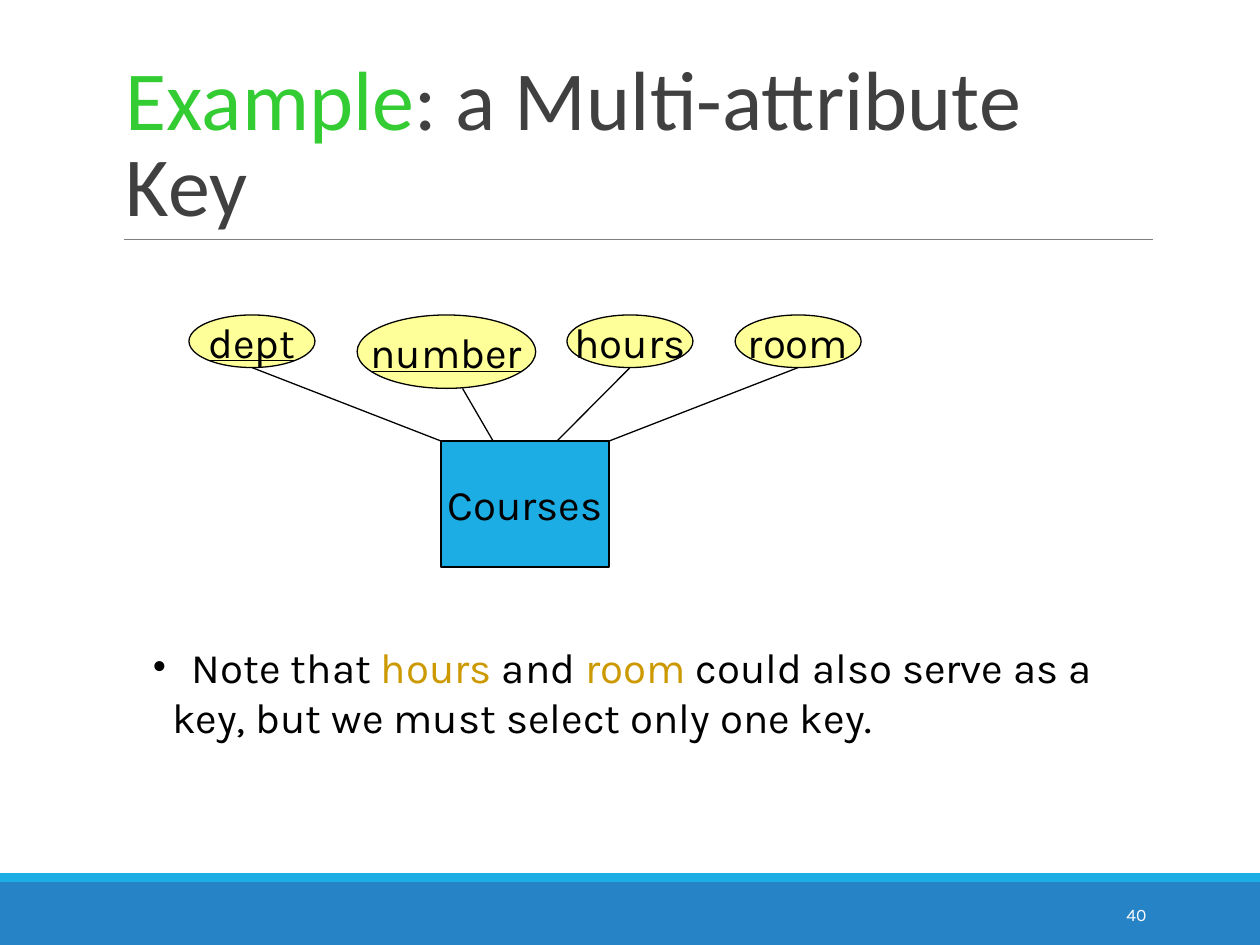
from lxml import etree
from pptx import Presentation
from pptx import util as u
from pptx.dml.color import RGBColor
from pptx.enum import shapes, text
from pptx.oxml.ns import qn

COLORS = {
    "black": "000000", "white": "FFFFFF", "title": "404040", "green": "33CC33",
    "gold": "CC9900", "yellow": "FFFF99", "sky": "1CADE4", "blue": "2683C6",
    "rule": "7F7F7F",
}


class SlideBuilder:
    """Holds the style and the current slide."""

    body_font, title_font = "Karla", "Calibri"

    def __init__(self, slide):
        self.slide = slide

    def color(self, name):
        return RGBColor.from_string(COLORS[name])

    def style(self, font, size, color, name=None):
        font.name = name or self.body_font
        font.size = u.Pt(size)
        font.color.rgb = self.color(color)

    def shape(self, kind, box, fill, label=None, outlined=False, underline=None):
        shape = self.slide.shapes.add_shape(kind, *map(u.Cm, box))
        shape.shadow.inherit = False
        shape.fill.solid()
        shape.fill.fore_color.rgb = self.color(fill)
        if outlined:
            shape.line.color.rgb = self.color("black")
            shape.line.width = u.Pt(0.75)
        else:
            shape.line.fill.background()
        if label:
            frame = shape.text_frame
            frame.word_wrap = False
            frame.vertical_anchor = text.MSO_ANCHOR.MIDDLE
            paragraph = frame.paragraphs[0]
            paragraph.text = label
            paragraph.alignment = text.PP_ALIGN.CENTER
            self.style(paragraph.font, 24, "black")
            paragraph.font.underline = underline
        return shape

    def line(self, start, end, color="black", width=0.75):
        line = self.slide.shapes.add_connector(
            shapes.MSO_CONNECTOR.STRAIGHT, *map(u.Cm, (*start, *end)))
        line.line.color.rgb = self.color(color)
        line.line.width = u.Pt(width)
        etree.SubElement(line._element.spPr, qn("a:effectLst"))

    def text_box(self, box, anchor=text.MSO_ANCHOR.TOP):
        frame = self.slide.shapes.add_textbox(*map(u.Cm, box)).text_frame
        frame.word_wrap = True
        frame.vertical_anchor = anchor
        return frame

    def runs(self, paragraph, parts, size, name=None):
        for words, color in parts:
            run = paragraph.add_run()
            run.text = words
            self.style(run.font, size, color, name)

    def indent(self, paragraph, margin, bullet=None):
        properties = paragraph._p.get_or_add_pPr()
        properties.set("marL", str(u.Cm(margin)))
        if bullet:
            properties.set("indent", str(-u.Cm(margin)))
            color = etree.SubElement(properties, qn("a:buClr"))
            etree.SubElement(color, qn("a:srgbClr"), val=COLORS["black"])
            etree.SubElement(properties, qn("a:buFont"), typeface="Times New Roman")
            etree.SubElement(properties, qn("a:buChar"), char=bullet)


def main():
    presentation = Presentation()
    presentation.slide_width, presentation.slide_height = u.Cm(25.4), u.Cm(19.05)
    builder = SlideBuilder(presentation.slides.add_slide(presentation.slide_layouts[6]))
    rectangle, oval = shapes.MSO_SHAPE.RECTANGLE, shapes.MSO_SHAPE.OVAL

    # Footer bands and title rule
    builder.shape(rectangle, (0, 17.78, 25.4, 1.27), "blue")
    builder.shape(rectangle, (0, 17.6, 25.4, 0.18), "sky")
    builder.line((2.49, 4.83), (23.24, 4.83), "rule", 0.5)

    # Title
    title = builder.text_box((2.29, 0.79, 20.96, 4.04), text.MSO_ANCHOR.BOTTOM).paragraphs[0]
    title.line_spacing = 0.85
    builder.runs(title, [("Example", "green"), (": a Multi-attribute Key", "title")],
                 48, builder.title_font)

    # Slide number
    number = builder.text_box((20.62, 17.93, 2.74, 1.02), text.MSO_ANCHOR.MIDDLE).paragraphs[0]
    number.text = "40"
    number.alignment = text.PP_ALIGN.RIGHT
    builder.style(number.font, 10, "white")

    # Entity
    entity_left, entity_top, entity_width = 8.89, 8.89, 3.39
    builder.shape(rectangle, (entity_left, entity_top, entity_width, 2.54), "sky",
                  "Courses", outlined=True)

    # Attributes: name, left, width, height, line start across the oval,
    # line end across the entity, part of the key
    attributes = [
        ("dept", 3.81, 2.54, 1.06, 0.5, 0, True),
        ("number", 7.2, 3.6, 1.48, 0.59, 0.31, True),
        ("hours", 11.43, 2.54, 1.06, 0.5, 0.69, False),
        ("room", 14.82, 2.54, 1.06, 0.5, 1, False),
    ]
    top = 6.35
    for name, left, width, height, start, end, is_key in attributes:
        builder.shape(oval, (left, top, width, height), "yellow", name,
                      outlined=True, underline=is_key)
        builder.line((left + start * width, top + height),
                     (entity_left + end * entity_width, entity_top))

    # Note
    note = builder.text_box((2.82, 12.8, 19.84, 2.29))
    first, second = note.paragraphs[0], note.add_paragraph()
    builder.indent(first, 0.8, "•")
    builder.runs(first, [("Note that ", "black"), ("hours", "gold"), (" and ", "black"),
                         ("room", "gold"), (" could also serve as a", "black")], 24)
    builder.indent(second, 0.4)
    second.text = "key, but we must select only one key."
    builder.style(second.font, 24, "black")

    presentation.save("out.pptx")


if __name__ == "__main__":
    main()
